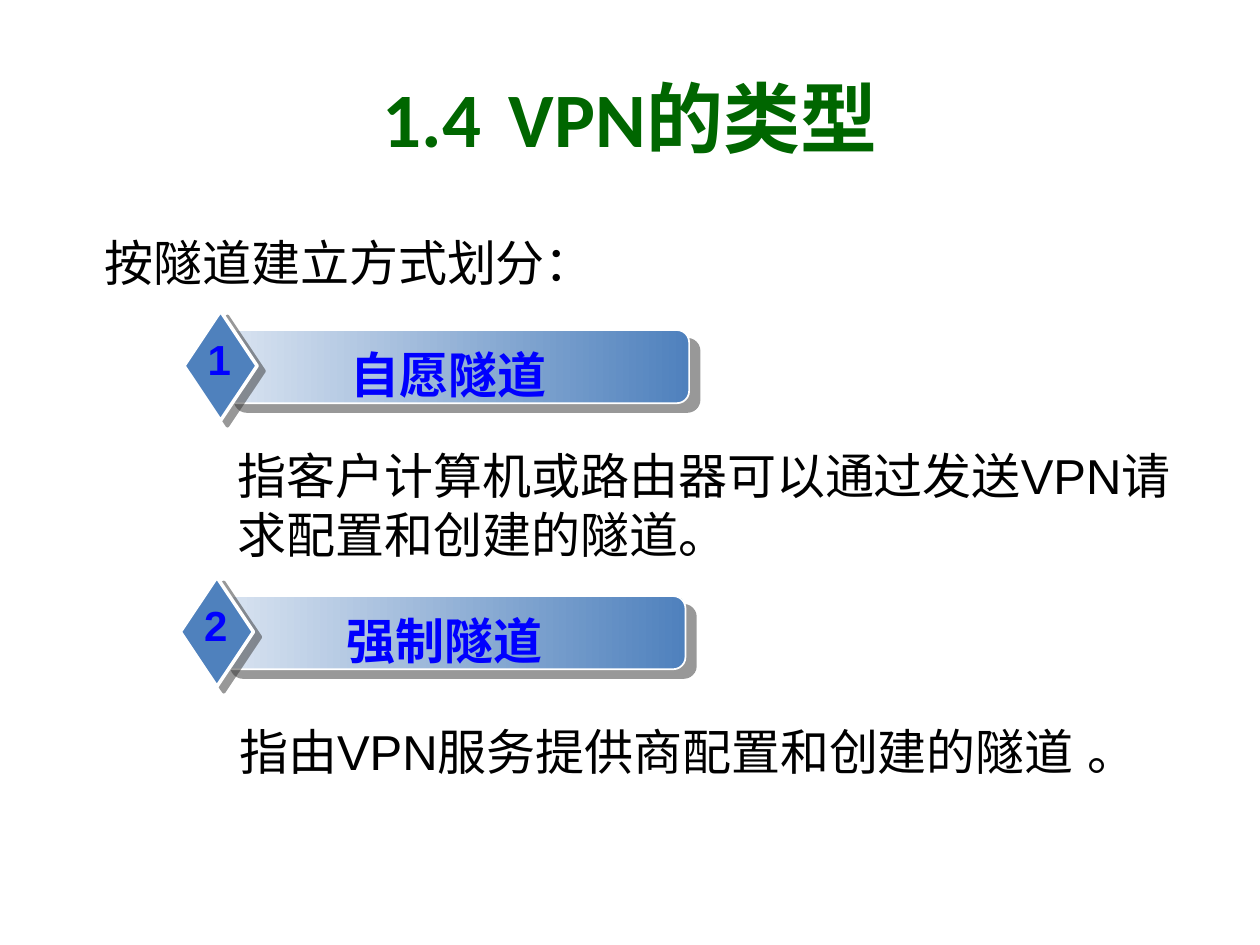
import math
from dataclasses import dataclass

import pptx
import pptx.dml.color
import pptx.enum.dml
import pptx.enum.shapes
import pptx.enum.text
import pptx.oxml
import pptx.oxml.ns
import pptx.util
from lxml import etree

Pt = pptx.util.Pt
RGB = pptx.dml.color.RGBColor.from_string
qn = pptx.oxml.ns.qn
Shapes = pptx.enum.shapes.MSO_SHAPE
Align = pptx.enum.text.PP_ALIGN
Anchor = pptx.enum.text.MSO_ANCHOR


@dataclass(frozen=True)
class Theme:
    title: str = "006600"
    label: str = "0000FF"
    body: str = "000000"
    blue: str = "4F81BD"
    pale: str = "DAE4F1"
    white: str = "FFFFFF"
    shadow: str = "333333"
    title_size: int = 44
    body_size: int = 28
    number_size: int = 24
    body_pitch: float = 33.5
    title_font: str = "Calibri"
    body_font: str = "Arial"
    heading_font: str = "Noto Sans CJK SC"


theme = Theme()


def add_text(slide, box, text, size, color, font=theme.body_font, bold=False,
             align=Align.CENTER, wrap=True, indent=0):
    shape = slide.shapes.add_textbox(*map(Pt, box))
    shape.text_frame.word_wrap = wrap
    paragraph = shape.text_frame.paragraphs[0]
    paragraph.alignment = align
    properties = paragraph._p.get_or_add_pPr()
    properties.set("marL", str(Pt(indent)))
    if size == theme.body_size:
        paragraph.line_spacing = Pt(theme.body_pitch)
    # Tab stops every inch
    stops = etree.SubElement(properties, qn("a:tabLst"))
    for inch in range(8):
        etree.SubElement(stops, qn("a:tab"), pos=str(Pt(72 * inch)), algn="l")
    run = paragraph.add_run()
    run.text = text
    run.font.size = Pt(size)
    run.font.bold = bold
    run.font.color.rgb = RGB(color)
    run.font.name = font
    east_asian = theme.title_font if font == theme.title_font else theme.body_font
    etree.SubElement(run.font._element, qn("a:ea"), typeface=east_asian)
    return shape


def add_raised(slide, kind, box, line_width, distance, angle):
    shape = slide.shapes.add_shape(kind, *map(Pt, box))
    shape.line.color.rgb = RGB(theme.white)
    shape.line.width = Pt(line_width)
    shape.fill.solid()
    shape.fill.fore_color.rgb = RGB(theme.blue)
    # Hard half-transparent shadow
    shape.shadow.inherit = False
    effects = shape._element.spPr.find(qn("a:effectLst"))
    shadow = etree.SubElement(effects, qn("a:outerShdw"), blurRad="0",
                              dist=str(Pt(distance)), dir=str(angle * 60000),
                              algn="ctr", rotWithShape="0")
    color = etree.SubElement(shadow, qn("a:srgbClr"), val=theme.shadow)
    etree.SubElement(color, qn("a:alpha"), val="50000")
    return shape


presentation = pptx.Presentation()
presentation.slide_width, presentation.slide_height = Pt(720), Pt(540)
slide = presentation.slides.add_slide(presentation.slide_layouts[6])

# Title and heading
title = add_text(slide, (36, 21.6, 648, 90), "1.4\tVPN的类型", theme.title_size,
                 theme.title, theme.title_font, bold=True)
title.text_frame.vertical_anchor = Anchor.MIDDLE
add_text(slide, (52.6, 129.6, 293.8, 41), "按隧道建立方式划分：", theme.body_size,
         theme.body, theme.heading_font, wrap=False)

# Tunnel types: banner left and top, label, description box, indent, description
tunnels = [
    (105.1, 177.8, "自愿隧道", (121.7, 251.3, 564.5, 74.9), 7.2,
     "指客户计算机或路由器可以通过发送VPN请求配置和创建的隧道。"),
    (103, 329.8, "强制隧道", (129.6, 409, 528.5, 74.9), 0,
     "指由VPN服务提供商配置和创建的隧道 。"),
]
for number, (left, top, label, box, indent, description) in enumerate(tunnels, 1):
    # Banner
    banner = add_raised(slide, Shapes.ROUNDED_RECTANGLE,
                        (left + 23, top + 10.8, 265.7, 41.8), 1, 7.8, 40)
    banner.fill.gradient()
    banner.fill.gradient_angle = 0
    for stop, color, position in zip(banner.fill.gradient_stops,
                                     (theme.pale, theme.blue), (0, 1)):
        stop.color.rgb = RGB(color)
        stop.position = position

    # Numbered diamond
    add_raised(slide, Shapes.DIAMOND, (left, top, 41.8, 62.6), 2, 5, 37)
    add_text(slide, (left + 36.7, top + 15.8, 229, 41), label, theme.body_size,
             theme.label, bold=True)
    add_text(slide, (left + 6.5, top + 9.4, 27.4, 36), str(number),
             theme.number_size, theme.label, bold=True, wrap=False)

    # Description
    add_text(slide, box, description, theme.body_size, theme.body,
             align=Align.LEFT, indent=indent)

presentation.save("out.pptx")
